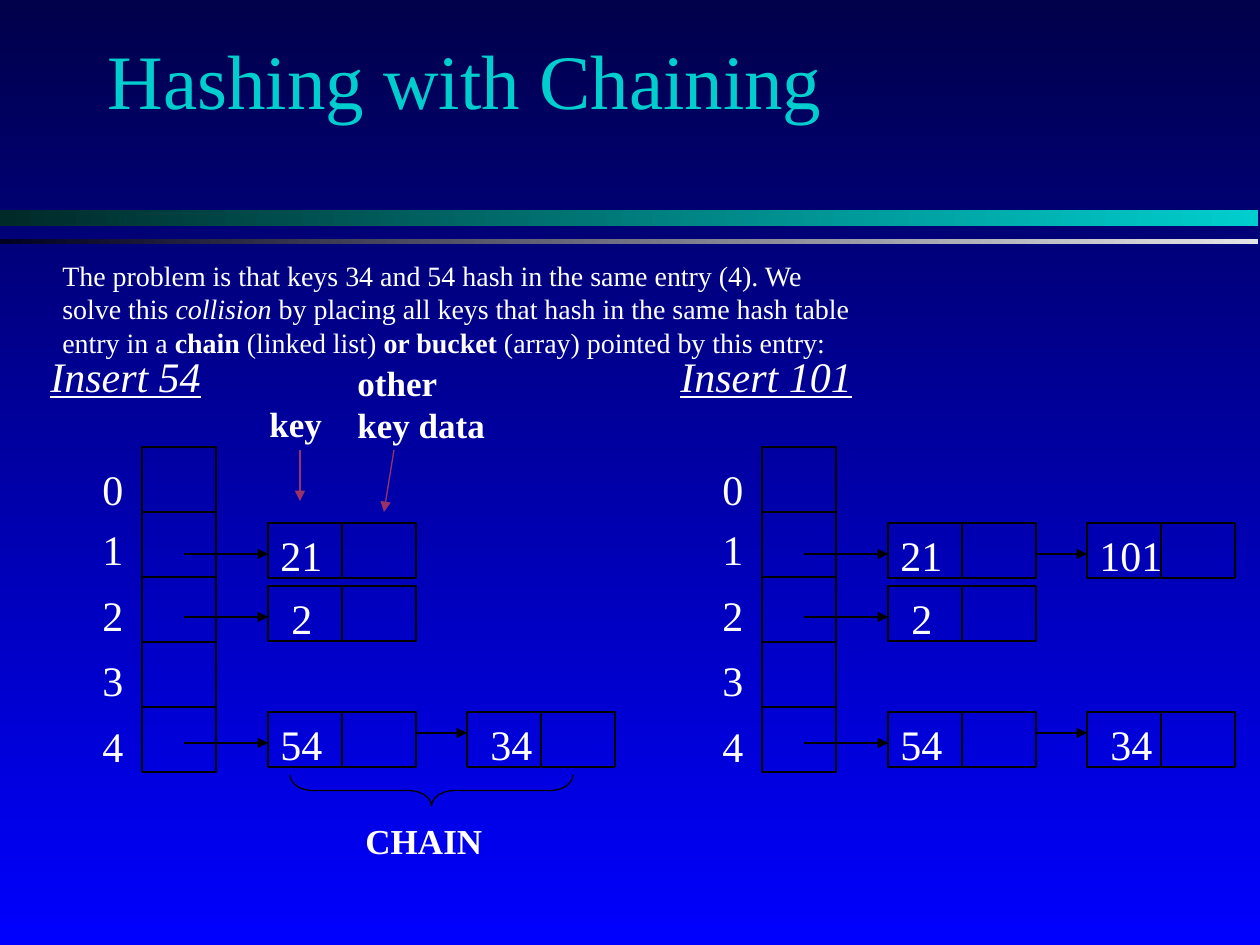
"""Build the slide on hashing with chaining."""
from lxml import etree
from pptx import Presentation
from pptx.dml.color import RGBColor
from pptx.enum.shapes import MSO_CONNECTOR, MSO_SHAPE
from pptx.enum.text import MSO_ANCHOR, MSO_AUTO_SIZE, PP_ALIGN
from pptx.oxml.ns import qn
from pptx.util import Emu, Pt

STRAIGHT = MSO_CONNECTOR.STRAIGHT
RECTANGLE, LEFT_BRACE = MSO_SHAPE.RECTANGLE, MSO_SHAPE.LEFT_BRACE
MIDDLE, LEFT, NO_FIT = MSO_ANCHOR.MIDDLE, PP_ALIGN.LEFT, MSO_AUTO_SIZE.NONE

FONT = "Times New Roman"
BLACK = RGBColor(0x00, 0x00, 0x00)
WHITE = RGBColor(0xFF, 0xFF, 0xFF)
CYAN = RGBColor(0x00, 0xCE, 0xCE)
DARK_TEAL = RGBColor(0x00, 0x29, 0x29)
SILVER = RGBColor(0xE4, 0xE4, 0xE7)
MIDNIGHT = RGBColor(0x00, 0x00, 0x20)
NAVY = RGBColor(0x00, 0x00, 0x4B)
BLUE = RGBColor(0x00, 0x00, 0xFF)
PLUM = RGBColor(0x99, 0x33, 0x66)

TITLE = "Hashing with Chaining"
BARS = [(210, 16, DARK_TEAL, CYAN), (239, 5, MIDNIGHT, SILVER)]
PROBLEM = [
    [("The problem is that keys 34 and 54 hash in the same entry (4). We", "")],
    [("solve this ", ""), ("collision", "italic"),
     (" by placing all keys that hash in the same hash table", "")],
    [("entry in a ", ""), ("chain", "bold"), (" (linked list) ", ""),
     ("or bucket", "bold"), (" (array) pointed by this entry:", "")],
]
SLOTS = ["0", "1", "2", "3", "4"]
SLOT_SPACING = [1.0, 1.2, 1.3, 1.3, 1.3]
PANELS = [
    {"left": 142, "caption": ("Insert 54", 38, 186),
     "chains": {1: ["21"], 2: ["2"], 4: ["54", "34"]}},
    {"left": 762, "caption": ("Insert 101", 668, 207),
     "chains": {1: ["21", "101"], 2: ["2"], 4: ["54", "34"]}},
]
KEY_INDENT = {"2": 11, "34": 11}
LABELS = [
    (["key"], 257, 396, 78, 55),
    (["other", "key data"], 345, 355, 153, 97),
    (["CHAIN"], 353, 813, 142, 55),
]
POINTERS = [(300, 450, 300, 501), (394, 450, 384, 512)]

CELL_WIDTH, SLOT_HEIGHT, NODE_HEIGHT = 74, 65, 55
ARRAY_TOP, CHAIN_TOP, CHAIN_PITCH = 447, 460, 63
NODE_OFFSET, NODE_PITCH = 126, 199


def px(length):
    return Emu(round(length * 914400 / 126))


def style(font, size, color=WHITE):
    font.name, font.size, font.color.rgb = FONT, Pt(size), color


def blend(fill, first, last, angle):
    fill.gradient()
    fill.gradient_angle = angle
    for stop, color in zip(fill.gradient_stops, (first, last)):
        stop.color.rgb = color


def add_text(page, lines, left, top, width, height, size, wrap=False):
    box = page.shapes.add_textbox(px(left), px(top), px(width), px(height))
    frame = box.text_frame
    frame.word_wrap = wrap
    for index, line in enumerate(lines):
        para = frame.paragraphs[0] if index == 0 else frame.add_paragraph()
        style(para.font, size)
        for words, emphasis in [(line, "")] if isinstance(line, str) else line:
            span = para.add_run()
            span.text = words
            if emphasis:
                setattr(span.font, emphasis, True)
    return frame.paragraphs


def add_outline(page, kind, left, top, width, height):
    shape = page.shapes.add_shape(kind, px(left), px(top), px(width), px(height))
    shape.shadow.inherit = False
    shape.fill.background()
    shape.line.color.rgb = BLACK
    shape.line.width = Pt(0.75)
    return shape


def add_arrow(page, x1, y1, x2, y2, color=BLACK):
    arrow = page.shapes.add_connector(STRAIGHT, px(x1), px(y1), px(x2), px(y2))
    arrow.line.color.rgb = color
    arrow.line.width = Pt(0.75)
    etree.SubElement(arrow.line._get_or_add_ln(), qn("a:tailEnd"), type="triangle")
    etree.SubElement(arrow._element.spPr, qn("a:effectLst"))


def add_node(page, key, left, top):
    for column in range(2):
        add_outline(page, RECTANGLE, left + column * CELL_WIDTH, top, CELL_WIDTH, NODE_HEIGHT)
    width = 88 if len(key) == 3 else 67
    add_text(page, [key], left + KEY_INDENT.get(key, 0), top, width, 63, 24)


def add_panel(page, left, caption, chains):
    words, caption_left, caption_width = caption
    para = add_text(page, [words], caption_left, 344, caption_width, 63, 24)[0]
    para.font.italic = para.font.underline = True
    for slot in range(len(SLOTS)):
        add_outline(page, RECTANGLE, left, ARRAY_TOP + slot * SLOT_HEIGHT,
                    CELL_WIDTH, SLOT_HEIGHT)
    indexes = add_text(page, SLOTS, left - 52, 457, 46, 370, 24)
    for para, spacing in zip(indexes, SLOT_SPACING):
        para.line_spacing = spacing
    for slot, keys in chains.items():
        top = CHAIN_TOP + slot * CHAIN_PITCH
        tail = left + 42
        for position, key in enumerate(keys):
            node_left = left + NODE_OFFSET + position * NODE_PITCH
            drop = 21 if key == "34" else 31
            add_arrow(page, tail, top + drop, node_left, top + drop)
            add_node(page, key, node_left, top)
            tail = node_left + 2 * CELL_WIDTH


def main():
    deck = Presentation()
    deck.slide_width, deck.slide_height = px(1260), px(945)
    page = deck.slides.add_slide(deck.slide_layouts[5])
    blend(page.background.fill, NAVY, BLUE, 270)

    for top, height, first, last in BARS:
        bar = add_outline(page, RECTANGLE, 0, top, 1258, height)
        blend(bar.fill, first, last, 0)
        bar.line.fill.background()

    title = page.shapes.title
    title.left, title.top, title.width, title.height = px(95), px(0), px(1071), px(158)
    title.text = TITLE
    frame = title.text_frame
    frame.auto_size, frame.vertical_anchor = NO_FIT, MIDDLE
    frame.paragraphs[0].alignment = LEFT
    style(frame.paragraphs[0].font, 44, CYAN)

    add_text(page, PROBLEM, 50, 252, 1096, 147, 16, wrap=True)
    for panel in PANELS:
        add_panel(page, **panel)
    for lines, left, top, width, height in LABELS:
        for para in add_text(page, lines, left, top, width, height, 20):
            para.font.bold = True
    for pointer in POINTERS:
        add_arrow(page, *pointer, color=PLUM)
    brace = add_outline(page, LEFT_BRACE, 416, 649, 31, 283)
    brace.rotation = 270
    brace.adjustments[0] = 0.75

    deck.save("out.pptx")


if __name__ == "__main__":
    main()
